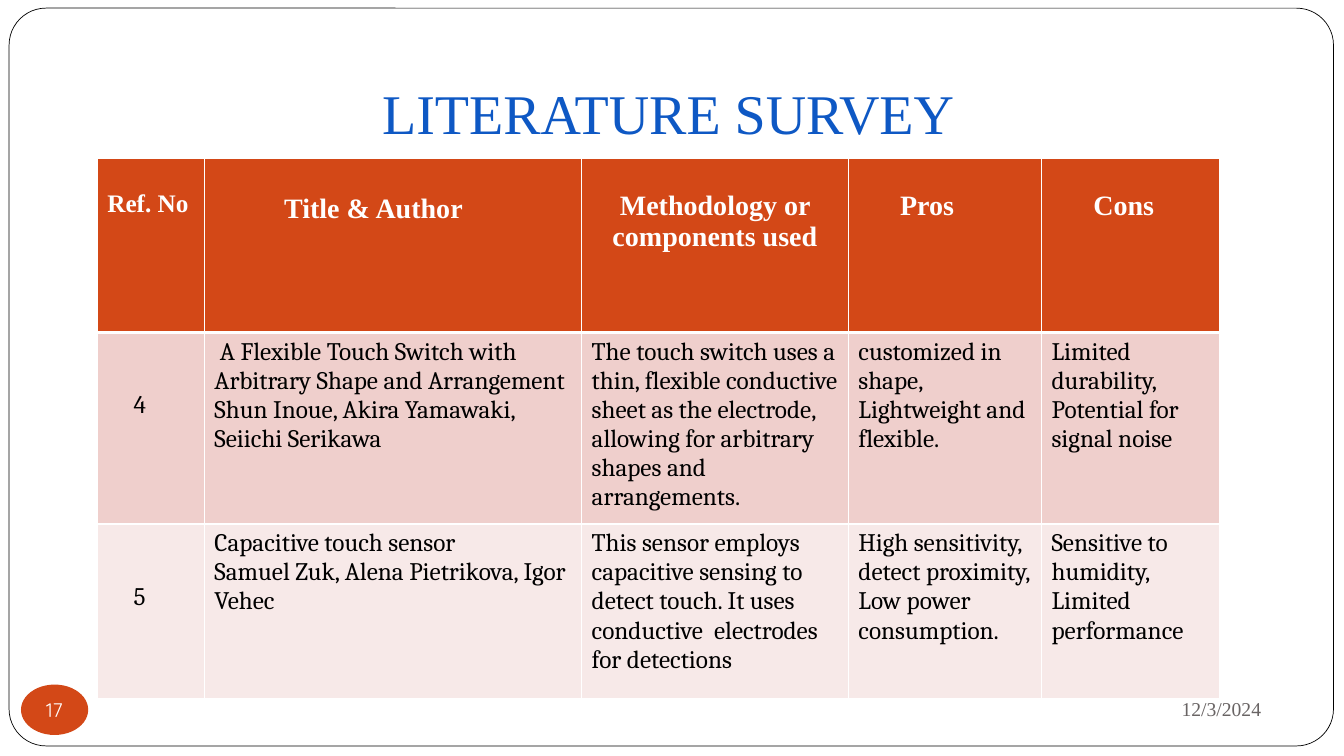
"""Builds the literature survey slide with its table of references."""
import pptx
import pptx.dml.color
import pptx.enum.shapes
import pptx.enum.text
import pptx.oxml
import pptx.oxml.ns
import pptx.util

Pt = pptx.util.Pt
ALIGN = pptx.enum.text.PP_ALIGN
ANCHOR = pptx.enum.text.MSO_ANCHOR
SHAPE = pptx.enum.shapes.MSO_SHAPE
SERIF = "Times New Roman"


def color(value):
    return pptx.dml.color.RGBColor.from_string(value)


def write(tf, lines, size, font, ink, align=ALIGN.LEFT, bold=False):
    for i, line in enumerate(lines):
        p = tf.paragraphs[0] if i == 0 else tf.add_paragraph()
        p.text = line
        p.alignment = align
        p.font.size = Pt(size)
        p.font.name = font
        p.font.bold = bold
        p.font.color.rgb = color(ink)


prs = pptx.Presentation()
prs.slide_width, prs.slide_height = Pt(960), Pt(540)
s = prs.slides.add_slide(prs.slide_layouts[6])

frame = s.shapes.add_shape(SHAPE.ROUNDED_RECTANGLE, Pt(6.5), Pt(5.8), Pt(946), Pt(527))
frame.adjustments[0] = 0.05
frame.shadow.inherit = False
frame.fill.solid()
frame.fill.fore_color.rgb = color("FFFFFF")
frame.line.color.rgb = color("000000")
frame.line.width = Pt(0.5)

title = s.shapes.add_textbox(Pt(96), Pt(21.6), Pt(816), Pt(90))
tf = title.text_frame
tf.word_wrap = True
tf.vertical_anchor = ANCHOR.BOTTOM
tf.margin_left, tf.margin_bottom = Pt(177), Pt(7.2)
write(tf, ["LITERATURE SURVEY"], 40, SERIF, "0E58C4")

rows = [
    [["Ref. No"], ["Title & Author"], ["Methodology or components used"], ["Pros"], ["Cons"]],
    [
        ["4"],
        [" A Flexible Touch Switch with Arbitrary Shape and Arrangement",
         "Shun Inoue, Akira Yamawaki, Seiichi Serikawa"],
        ["The touch switch uses a thin, flexible conductive sheet as the electrode, "
         "allowing for arbitrary shapes and arrangements."],
        ["customized in shape,", "Lightweight and flexible."],
        ["Limited durability,", "Potential for signal noise"],
    ],
    [
        ["5"],
        ["Capacitive touch sensor", "Samuel Zuk, Alena Pietrikova, Igor Vehec"],
        ["This sensor employs capacitive sensing to detect touch. "
         "It uses conductive  electrodes for detections"],
        ["High sensitivity, detect proximity, Low power consumption."],
        ["Sensitive to humidity, Limited performance"],
    ],
]
widths = [76.5, 269.5, 190.5, 138, 127.5]
row_fills = ["D34817", "EFCFCC", "F7E9E8"]
header_indents = [7.2, 57, 7.2, 37, 37]
header_tops = [23, 25, 23, 23, 23]

table = s.shapes.add_table(3, 5, Pt(69.5), Pt(113), Pt(802), Pt(373.5)).table
for column, width in zip(table.columns, widths):
    column.width = Pt(width)
for i, row in enumerate(rows):
    table.rows[i].height = Pt(124.5)
    for j, lines in enumerate(row):
        cell = table.cell(i, j)
        cell.fill.solid()
        cell.fill.fore_color.rgb = color(row_fills[i])
        if i == 0:
            cell.margin_left, cell.margin_top = Pt(header_indents[j]), Pt(header_tops[j])
            write(cell.text_frame, lines, 18 if j == 0 else 20, SERIF, "FFFFFF",
                  ALIGN.CENTER if j == 2 else ALIGN.LEFT, True)
        else:
            if j == 0:
                cell.margin_left, cell.margin_top = Pt(26), Pt(42)
            write(cell.text_frame, lines, 18, "Cambria", "000000")
        borders = {"lnL": 1, "lnR": 1, "lnT": 3 if i == 1 else 1, "lnB": 3 if i == 0 else 1}
        for k, (side, weight) in enumerate(borders.items()):
            cell._tc.get_or_add_tcPr().insert(k, pptx.oxml.parse_xml(
                f'<a:{side} {pptx.oxml.ns.nsdecls("a")} w="{Pt(weight)}">'
                f'<a:solidFill><a:srgbClr val="FFFFFF"/></a:solidFill></a:{side}>'))

date = s.shapes.add_textbox(Pt(648), Pt(487.5), Pt(260), Pt(37.5))
tf = date.text_frame
tf.word_wrap = True
tf.vertical_anchor = ANCHOR.MIDDLE
write(tf, ["12/3/2024"], 14, SERIF, "696464", ALIGN.RIGHT)

badge = s.shapes.add_shape(SHAPE.OVAL, Pt(15), Pt(489), Pt(48), Pt(36))
badge.shadow.inherit = False
badge.fill.solid()
badge.fill.fore_color.rgb = color("D34817")
badge.line.fill.background()
tf = badge.text_frame
tf.word_wrap = False
tf.vertical_anchor = ANCHOR.MIDDLE
tf.margin_left = tf.margin_top = tf.margin_right = tf.margin_bottom = 0
write(tf, ["17"], 14, "Quicksand", "FFFFFF", ALIGN.CENTER)

prs.save("out.pptx")
